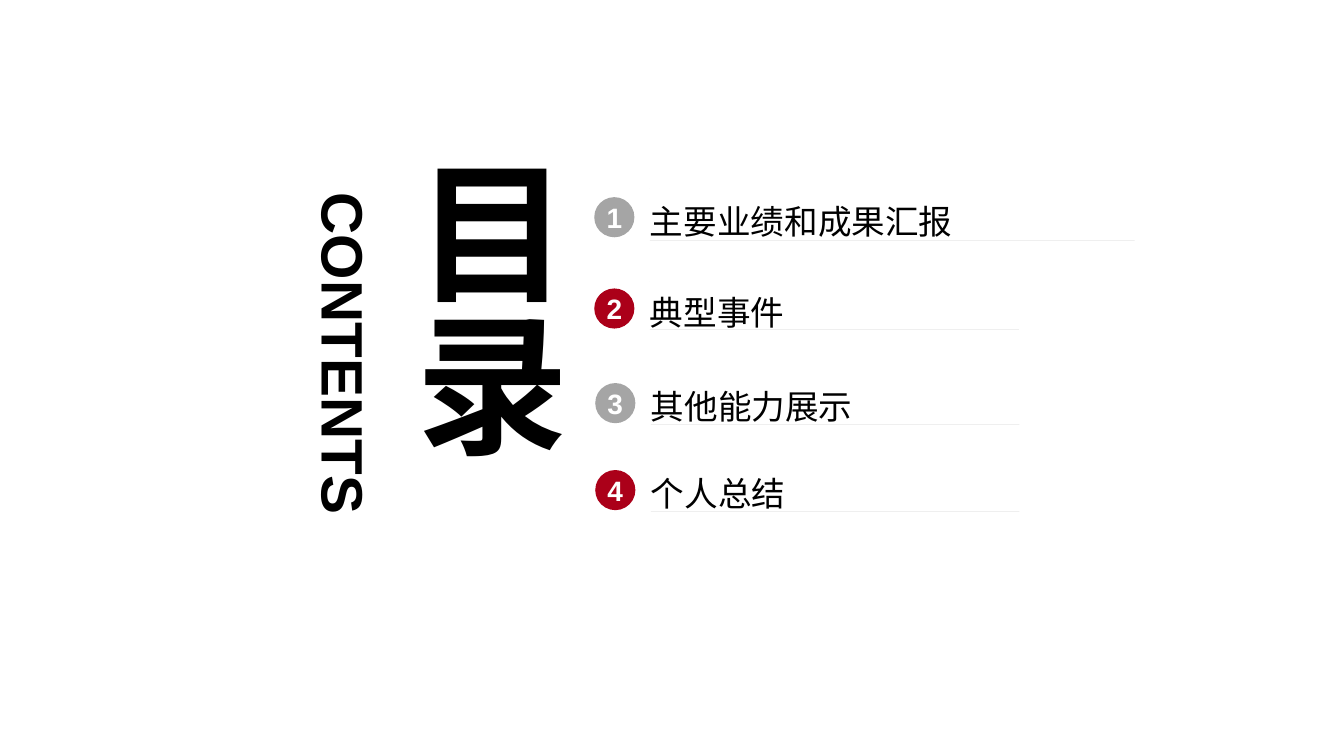
from dataclasses import dataclass

from pptx import Presentation
from pptx.dml.color import RGBColor
from pptx.enum.shapes import MSO_SHAPE
from pptx.enum.text import MSO_ANCHOR, MSO_AUTO_SIZE, PP_ALIGN
from pptx.util import Pt


@dataclass(frozen=True)
class Theme:
    font: str = "Arial"
    black: RGBColor = RGBColor(0, 0, 0)
    white: RGBColor = RGBColor(255, 255, 255)
    gray: RGBColor = RGBColor(0xA5, 0xA5, 0xA5)
    red: RGBColor = RGBColor(0xAB, 0x00, 0x19)
    rule: RGBColor = RGBColor(0x80, 0x80, 0x80)
    title: float = 115
    side: float = 44
    label: float = 25.3
    badge: float = 21.1


THEME = Theme()
DISC = 30.24
GAP = 42
DROP = 2
ROWS = [
    ("主要业绩和成果汇报", 489.6, 141.84, 39.6, 365.04),
    ("典型事件", 489.6, 212.4, 36, 277.92),
    ("其他能力展示", 490.32, 283.68, 36, 277.56),
    ("个人总结", 490.32, 349.2, 36, 277.56),
]


def place(shape, left, top, width, height):
    shape.left, shape.top = Pt(left), Pt(top)
    shape.width, shape.height = Pt(width), Pt(height)


def paint(shape, color):
    shape.shadow.inherit = False
    shape.fill.solid()
    shape.fill.fore_color.rgb = color
    shape.line.fill.background()


def write(shape, text, size, color, bold=True, align=PP_ALIGN.CENTER,
          anchor=MSO_ANCHOR.MIDDLE, space=None):
    frame = shape.text_frame
    frame.word_wrap = True
    frame.auto_size = MSO_AUTO_SIZE.NONE
    frame.vertical_anchor = anchor
    frame.margin_left = frame.margin_right = Pt(0)
    frame.margin_top = frame.margin_bottom = Pt(0)
    line = frame.paragraphs[0]
    line.alignment = align
    if space:
        line.line_spacing = space
    run = line.add_run()
    run.text = text
    run.font.name = THEME.font
    run.font.size = Pt(size)
    run.font.bold = bold
    run.font.color.rgb = color


def add_title(slide, text):
    title = slide.shapes.title
    place(title, 297.36, 117.36, 139.68, 298.8)
    write(title, text, THEME.title, THEME.black)
    title.text_frame._txBody.bodyPr.set("vert", "eaVert")


def add_side(slide, text):
    box = slide.shapes.add_textbox(Pt(129.6), Pt(239.76), Pt(259.92), Pt(53.28))
    box.rotation = 90
    write(box, text, THEME.side, THEME.black, anchor=MSO_ANCHOR.TOP)


def add_badge(slide, text, left, top, color):
    disc = slide.shapes.add_shape(
        MSO_SHAPE.OVAL, Pt(left), Pt(top), Pt(DISC), Pt(DISC))
    paint(disc, color)
    write(disc, text, THEME.badge, THEME.white)


def add_label(slide, text, left, top, width, height):
    start, end = Pt(left), Pt(left + width)
    head, base = Pt(top), Pt(top + height)
    pen = slide.shapes.build_freeform(start, base)
    pen.add_line_segments([(end, base), (start, base)])
    pen.move_to(start, head)
    pen.add_line_segments([(start, head)])
    label = pen.convert_to_shape()
    paint(label, THEME.rule)
    write(label, text, THEME.label, THEME.black, bold=False,
          align=PP_ALIGN.LEFT, space=1.3)


def main():
    deck = Presentation()
    deck.slide_width, deck.slide_height = Pt(1012.32), Pt(569.52)
    slide = deck.slides.add_slide(deck.slide_layouts[5])
    add_title(slide, "目录")
    add_side(slide, "CONTENTS")
    for count, (text, left, top, height, width) in enumerate(ROWS, 1):
        color = THEME.gray if count % 2 else THEME.red
        middle = top + height / 2 + DROP
        add_badge(slide, str(count), left - GAP, middle - DISC / 2, color)
        add_label(slide, text, left, top, width, height)
    deck.save("out.pptx")


if __name__ == "__main__":
    main()
